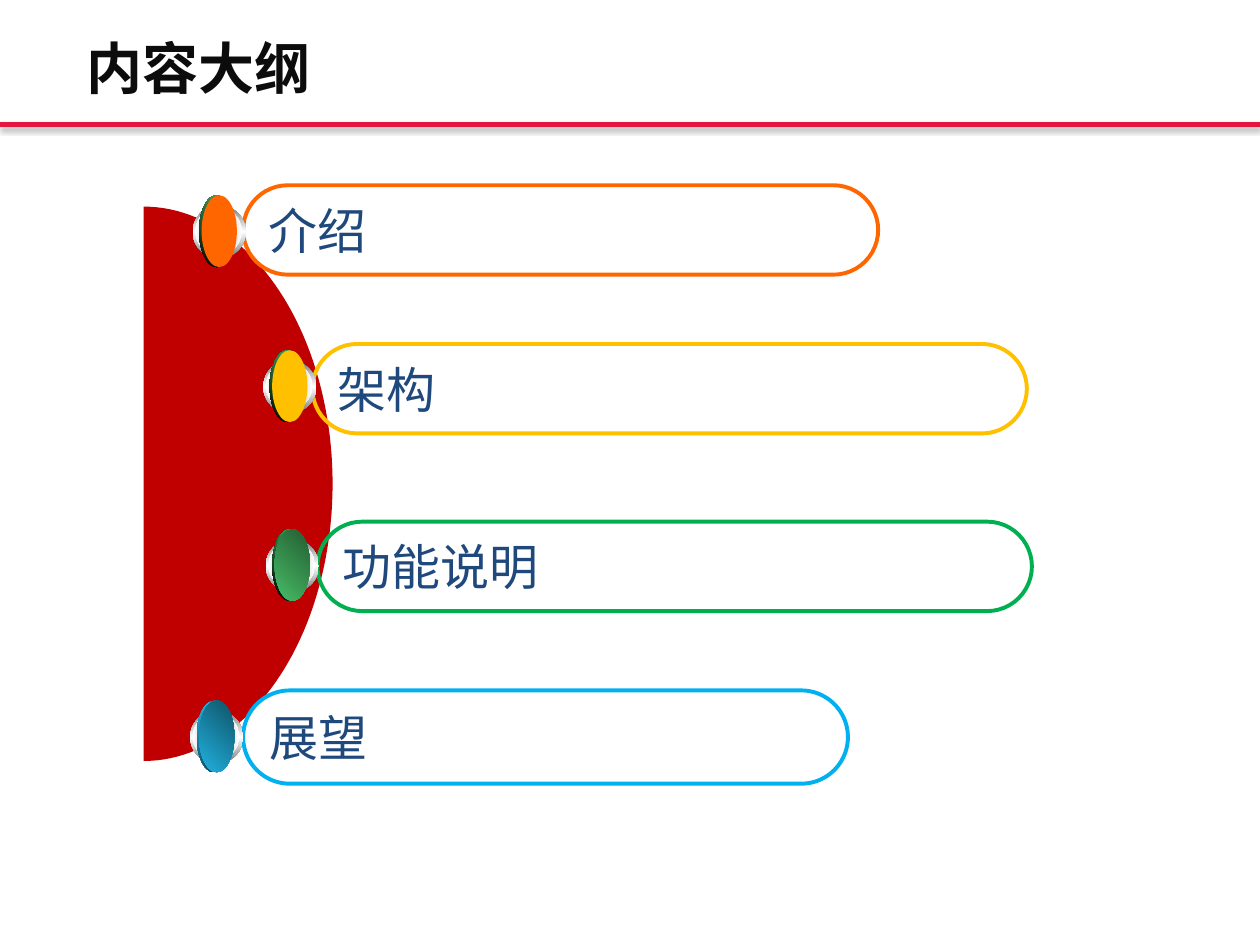
import math
from dataclasses import dataclass

from lxml import etree
from pptx import Presentation
from pptx import util as u
from pptx.dml.color import RGBColor
from pptx.enum import shapes, text
from pptx.oxml import ns, parse_xml

FONT = "Noto Sans CJK SC"
TITLE_INK = RGBColor(0x0C, 0x0C, 0x0C)
LABEL_INK = RGBColor(0x1F, 0x49, 0x7D)
RULE_RED = RGBColor(0xE3, 0x17, 0x3E)
DISC_RED = RGBColor(0xC0, 0x00, 0x00)
ORANGE = RGBColor(0xFF, 0x66, 0x00)
AMBER = RGBColor(0xFF, 0xC0, 0x00)
GREEN = RGBColor(0x00, 0xB0, 0x50)
SKY = RGBColor(0x00, 0xB0, 0xF0)
BLACK = RGBColor(0x00, 0x00, 0x00)
WHITE = RGBColor(0xFF, 0xFF, 0xFF)
DARK_GRAY = RGBColor(0x76, 0x76, 0x76)
GRAY = RGBColor(0xA2, 0xA2, 0xA2)
LEAF = RGBColor(0x48, 0xBE, 0x67)
DARK_LEAF = RGBColor(0x23, 0x5C, 0x32)
WATER = RGBColor(0x21, 0xB3, 0xE1)
DARK_WATER = RGBColor(0x0F, 0x53, 0x68)


@dataclass(frozen=True)
class Gradient:
    colors: tuple[RGBColor, ...]
    angle: int


Paint = RGBColor | Gradient

RING = Gradient((DARK_GRAY, WHITE, DARK_GRAY), 90)
RING_INNER = Gradient((WHITE, GRAY, WHITE), 0)
LEAF_SHADE = Gradient((BLACK, LEAF), 315)
WATER_SHADE = Gradient((WATER, DARK_WATER), 90)
LEAF_FACE = Gradient((LEAF, DARK_LEAF), 315)
WATER_FACE = Gradient((WATER, DARK_WATER), 315)


@dataclass(frozen=True)
class Topic:
    label: str
    left: float
    top: float
    width: float
    height: float
    color: RGBColor
    knob_left: float
    knob_top: float
    shade: Gradient
    face: Paint


TOPICS = (
    Topic("介绍", 1.93, 1.47, 5.04, 0.71, ORANGE, 1.53, 1.63, LEAF_SHADE, ORANGE),
    Topic("架构", 2.48, 2.73, 5.67, 0.71, AMBER, 2.09, 2.86, LEAF_SHADE, AMBER),
    Topic("功能说明", 2.52, 4.14, 5.67, 0.71, GREEN, 2.11, 4.28, LEAF_SHADE, LEAF_FACE),
    Topic("展望", 1.93, 5.48, 4.8, 0.74, SKY, 1.51, 5.64, WATER_SHADE, WATER_FACE),
)


def write(frame, content: str, *, size: float, color: RGBColor,
          bold: bool = False, spacing: float | None = None) -> None:
    para = frame.paragraphs[0]
    para.alignment = text.PP_ALIGN.LEFT
    para.line_spacing = spacing
    span = para.add_run()
    span.text = content
    span.font.size = u.Pt(size)
    span.font.name = FONT
    span.font.bold = bold
    span.font.color.rgb = color
    east_asian = etree.SubElement(span.font._element, ns.qn("a:ea"))
    east_asian.set("typeface", FONT)


def paint(shape, look: Paint) -> None:
    if isinstance(look, RGBColor):
        shape.fill.solid()
        shape.fill.fore_color.rgb = look
        return
    shape.fill.gradient()
    gradient = shape._element.spPr.find(ns.qn("a:gradFill"))
    stops = gradient.find(ns.qn("a:gsLst"))
    for stop in list(stops):
        stops.remove(stop)
    for index, color in enumerate(look.colors):
        position = 100000 * index // (len(look.colors) - 1)
        stop = etree.SubElement(stops, ns.qn("a:gs"), pos=str(position))
        etree.SubElement(stop, ns.qn("a:srgbClr"), val=str(color))
    gradient.find(ns.qn("a:lin")).set("ang", str(look.angle * 60000))


def draw_rule(page) -> None:
    rule = page.shapes.add_connector(
        shapes.MSO_CONNECTOR.STRAIGHT,
        u.Inches(0), u.Inches(0.99), u.Inches(10), u.Inches(0.99))
    rule.line.color.rgb = RULE_RED
    rule.line.width = u.Pt(3)
    rule._element.spPr.append(parse_xml(
        f'<a:effectLst {ns.nsdecls("a")}>'
        f'<a:outerShdw blurRad="{u.Pt(3.1)}" dist="{u.Pt(1.8)}" dir="5400000" rotWithShape="0">'
        '<a:srgbClr val="000000"><a:alpha val="35000"/></a:srgbClr>'
        '</a:outerShdw></a:effectLst>'))


def draw_half_disc(page, left: float, middle: float, width: float, radius: float) -> None:
    steps = 90
    angles = [math.pi * (step / steps - 0.5) for step in range(steps + 1)]
    points = [(u.Inches(left + width * math.cos(angle)),
               u.Inches(middle + radius * math.sin(angle))) for angle in angles]
    builder = page.shapes.build_freeform(*points[0])
    builder.add_line_segments(points[1:], close=True)
    disc = builder.convert_to_shape()
    disc.shadow.inherit = False
    disc.line.fill.background()
    paint(disc, DISC_RED)


def draw_pill(page, topic: Topic) -> None:
    pill = page.shapes.add_shape(
        shapes.MSO_SHAPE.ROUNDED_RECTANGLE,
        u.Inches(topic.left), u.Inches(topic.top),
        u.Inches(topic.width), u.Inches(topic.height))
    pill.adjustments[0] = 0.5
    pill.shadow.inherit = False
    pill.fill.background()
    pill.line.color.rgb = topic.color
    pill.line.width = u.Pt(2.25)
    pill.text_frame.word_wrap = False
    pill.text_frame.vertical_anchor = text.MSO_ANCHOR.MIDDLE
    write(pill.text_frame, topic.label, size=28, color=LABEL_INK)


def draw_knob(page, topic: Topic) -> None:
    knob = page.shapes.add_group_shape()
    layers = (
        (0, 0, 0.42, 0.42, RING),
        (0.02, 0.02, 0.37, 0.37, RING_INNER),
        (0.05, -0.08, 0.28, 0.57, topic.shade),
        (0.07, -0.08, 0.28, 0.57, topic.face),
    )
    for dx, dy, width, height, look in layers:
        oval = knob.shapes.add_shape(
            shapes.MSO_SHAPE.OVAL,
            u.Inches(topic.knob_left + dx), u.Inches(topic.knob_top + dy),
            u.Inches(width), u.Inches(height))
        oval.shadow.inherit = False
        oval.line.fill.background()
        paint(oval, look)


def draw_title(page) -> None:
    box = page.shapes.add_textbox(
        u.Inches(0.59), u.Inches(0.28), u.Inches(7.17), u.Inches(0.59))
    box.text_frame.word_wrap = True
    box.text_frame.auto_size = text.MSO_AUTO_SIZE.SHAPE_TO_FIT_TEXT
    write(box.text_frame, "内容大纲", size=32, color=TITLE_INK, bold=True, spacing=0.9)


def main() -> None:
    deck = Presentation()
    deck.slide_width, deck.slide_height = u.Inches(10), u.Inches(7.5)
    page = deck.slides.add_slide(deck.slide_layouts[6])
    draw_rule(page)
    draw_half_disc(page, left=1.14, middle=3.84, width=1.5, radius=2.2)
    for topic in TOPICS:
        draw_pill(page, topic)
        draw_knob(page, topic)
    draw_title(page)
    deck.save("out.pptx")


if __name__ == "__main__":
    main()
